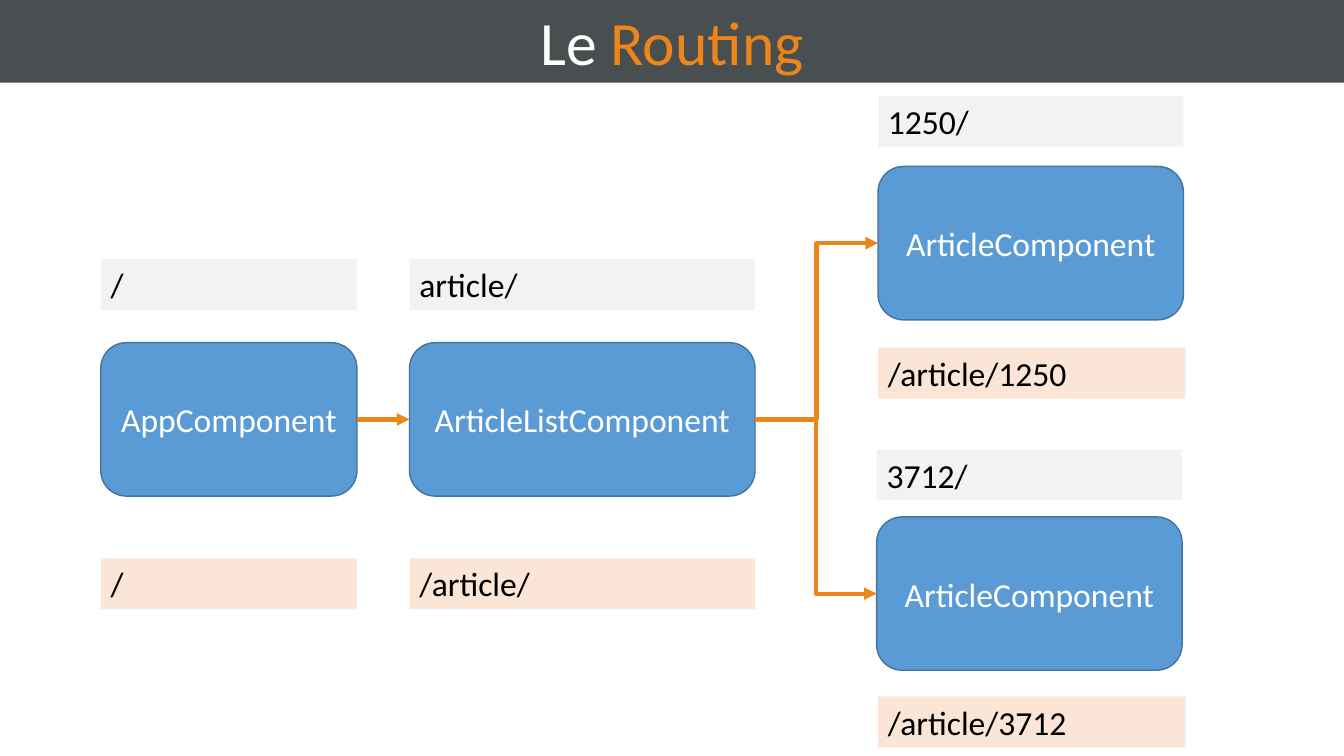
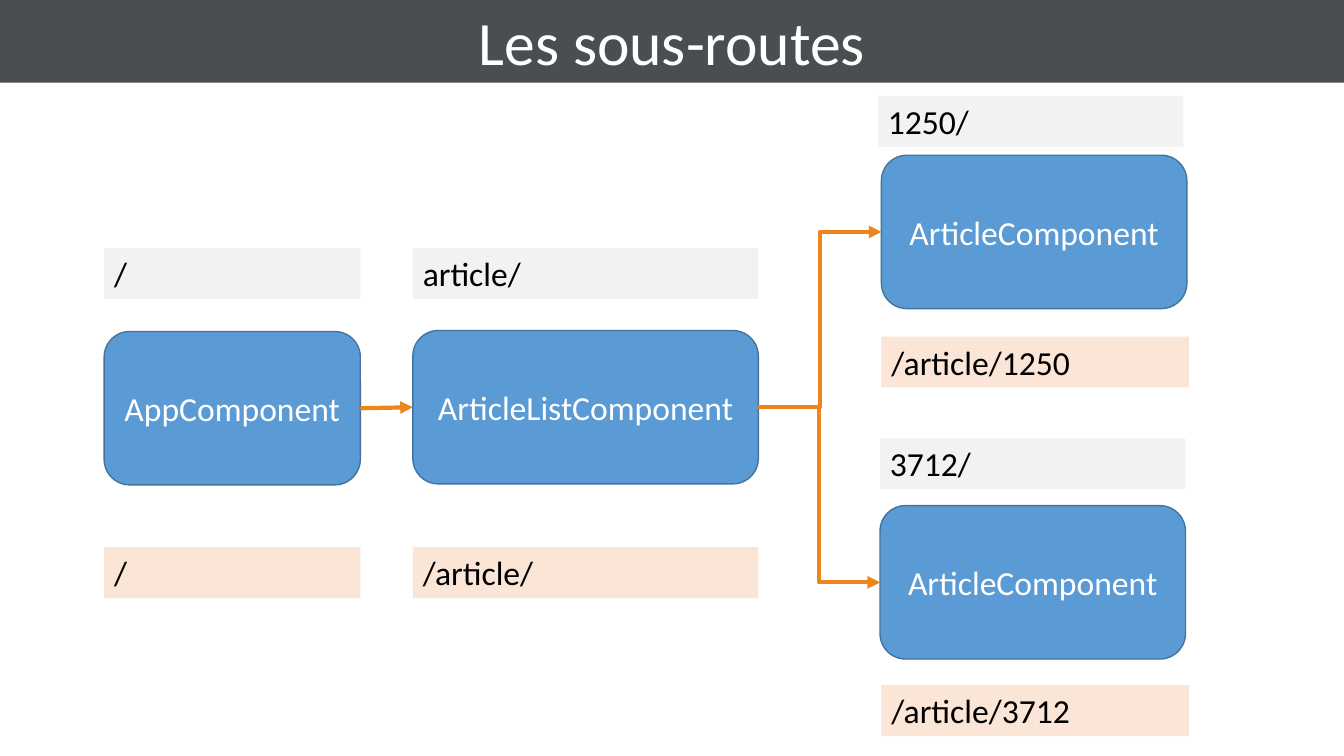
from dataclasses import dataclass, replace

from lxml import etree
from pptx import Presentation
from pptx import util as u
from pptx.dml.color import RGBColor
from pptx.enum import shapes, text
from pptx.oxml import ns

BAND_GREY = RGBColor(0x49, 0x4E, 0x50)
ORANGE = RGBColor(0xEC, 0x85, 0x1A)
BOX_BLUE = RGBColor(0x5B, 0x9B, 0xD5)
BOX_EDGE = RGBColor(0x43, 0x73, 0x9E)
SEGMENT_GREY = RGBColor(0xF2, 0xF2, 0xF2)
ROUTE_PEACH = RGBColor(0xFB, 0xE5, 0xD6)
WHITE = RGBColor(0xFF, 0xFF, 0xFF)
BLACK = RGBColor(0, 0, 0)

FONT = "Calibri"
TITLE_SIZE = 44
TEXT_SIZE = 24
SLIDE_WIDTH = 960
SLIDE_HEIGHT = 540
BAND_HEIGHT = 59
BOX_HEIGHT = 109.6
LABEL_HEIGHT = 36.35
LEFT_SITE = 1
RIGHT_SITE = 3


@dataclass(frozen=True)
class Run:
    text: str
    color: RGBColor


@dataclass(frozen=True)
class Tile:
    text: str
    left: float
    top: float
    width: float

    def moved(self, right: float, down: float) -> "Tile":
        return replace(self, left=self.left + right, top=self.top + down)


@dataclass(frozen=True)
class Component:
    box: Tile
    segment: Tile
    route: Tile

    def moved(self, right: float, down: float) -> "Component":
        return Component(
            self.box.moved(right, down),
            self.segment.moved(right, down),
            self.route.moved(right, down),
        )


@dataclass(frozen=True)
class Diagram:
    title: tuple[Run, ...]
    app: Component
    article_list: Component
    articles: tuple[Component, ...]


def add_runs(shape, runs: tuple[Run, ...], size: float) -> None:
    paragraph = shape.text_frame.paragraphs[0]
    for item in runs:
        run = paragraph.add_run()
        run.text = item.text
        run.font.name = FONT
        run.font.size = u.Pt(size)
        run.font.color.rgb = item.color


def add_panel(slide, kind, tile: Tile, height: float, fill: RGBColor,
              runs: tuple[Run, ...], size: float):
    shape = slide.shapes.add_shape(
        kind, u.Pt(tile.left), u.Pt(tile.top), u.Pt(tile.width), u.Pt(height))
    shape.shadow.inherit = False
    shape.fill.solid()
    shape.fill.fore_color.rgb = fill
    shape.line.fill.background()
    shape.text_frame.vertical_anchor = text.MSO_ANCHOR.MIDDLE
    shape.text_frame.paragraphs[0].alignment = text.PP_ALIGN.CENTER
    add_runs(shape, runs, size)
    return shape


def add_title_band(slide, title: tuple[Run, ...]) -> None:
    add_panel(slide, shapes.MSO_SHAPE.RECTANGLE, Tile("", 0, 0, SLIDE_WIDTH),
              BAND_HEIGHT, BAND_GREY, title, TITLE_SIZE)


def add_box(slide, tile: Tile):
    shape = add_panel(slide, shapes.MSO_SHAPE.ROUNDED_RECTANGLE, tile, BOX_HEIGHT,
                      BOX_BLUE, (Run(tile.text, WHITE),), TEXT_SIZE)
    shape.line.color.rgb = BOX_EDGE
    shape.line.width = u.Pt(1)
    return shape


def add_label(slide, tile: Tile, fill: RGBColor) -> None:
    shape = slide.shapes.add_textbox(
        u.Pt(tile.left), u.Pt(tile.top), u.Pt(tile.width), u.Pt(LABEL_HEIGHT))
    shape.fill.solid()
    shape.fill.fore_color.rgb = fill
    shape.text_frame.word_wrap = True
    shape.text_frame.auto_size = text.MSO_AUTO_SIZE.SHAPE_TO_FIT_TEXT
    add_runs(shape, (Run(tile.text, BLACK),), TEXT_SIZE)


def add_arrow(slide, kind, source, target) -> None:
    connector = slide.shapes.add_connector(kind, 0, 0, 0, 0)
    connector.begin_connect(source, RIGHT_SITE)
    connector.end_connect(target, LEFT_SITE)
    connector.line.color.rgb = ORANGE
    connector.line.width = u.Pt(3)
    properties = connector._element.spPr
    line = properties.find(ns.qn("a:ln"))
    etree.SubElement(line, ns.qn("a:tailEnd"), type="triangle")
    etree.SubElement(properties, ns.qn("a:effectLst"))


def add_diagram(presentation, diagram: Diagram) -> None:
    slide = presentation.slides.add_slide(presentation.slide_layouts[6])
    add_title_band(slide, diagram.title)
    app = add_box(slide, diagram.app.box)
    article_list = add_box(slide, diagram.article_list.box)
    articles = [add_box(slide, article.box) for article in diagram.articles]
    add_arrow(slide, shapes.MSO_CONNECTOR.STRAIGHT, app, article_list)
    for article in reversed(articles):
        add_arrow(slide, shapes.MSO_CONNECTOR.ELBOW, article_list, article)
    for component in (diagram.app, diagram.article_list, *diagram.articles):
        add_label(slide, component.segment, SEGMENT_GREY)
        add_label(slide, component.route, ROUTE_PEACH)


def routing_diagram() -> Diagram:
    return Diagram(
        title=(Run("Le ", WHITE), Run("Routing", ORANGE)),
        app=Component(
            Tile("AppComponent", 72, 244.8, 183),
            Tile("/", 72, 185.2, 183),
            Tile("/", 72, 398.9, 183),
        ),
        article_list=Component(
            Tile("ArticleListComponent", 292.5, 244.8, 246.8),
            Tile("article/", 292.5, 185.2, 246.8),
            Tile("/article/", 292.5, 398.9, 246.8),
        ),
        articles=(
            Component(
                Tile("ArticleComponent", 627.2, 118.9, 218.2),
                Tile("1250/", 627.2, 68.5, 218.2),
                Tile("/article/1250", 627.2, 248.4, 219.6),
            ),
            Component(
                Tile("ArticleComponent", 626.2, 369.2, 218.2),
                Tile("3712/", 626.2, 321.1, 218.2),
                Tile("/article/3712", 627.2, 497.5, 219.6),
            ),
        ),
    )


def sub_routes_diagram(routing: Diagram) -> Diagram:
    right, down = 2.4, -8
    article_list = routing.article_list.moved(right, down)
    first, second = (article.moved(right, down) for article in routing.articles)
    return Diagram(
        title=(Run("Les sous-routes", WHITE),),
        app=routing.app.moved(right, down),
        article_list=replace(article_list, box=article_list.box.moved(0, -0.7)),
        articles=(replace(first, segment=routing.articles[0].segment), second),
    )


def main() -> None:
    presentation = Presentation()
    presentation.slide_width = u.Pt(SLIDE_WIDTH)
    presentation.slide_height = u.Pt(SLIDE_HEIGHT)
    routing = routing_diagram()
    for diagram in (routing, sub_routes_diagram(routing)):
        add_diagram(presentation, diagram)
    presentation.save("out.pptx")


if __name__ == "__main__":
    main()
